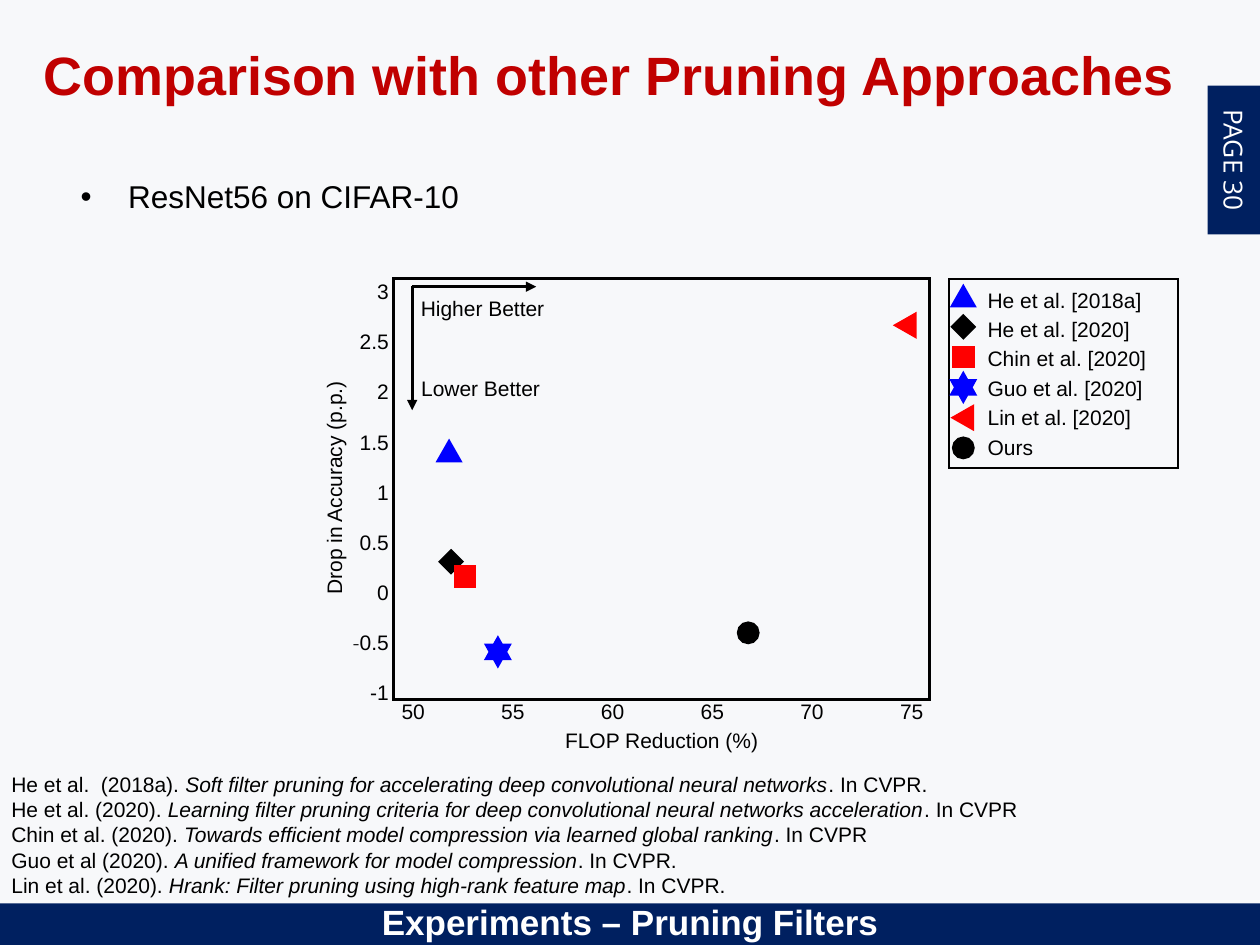
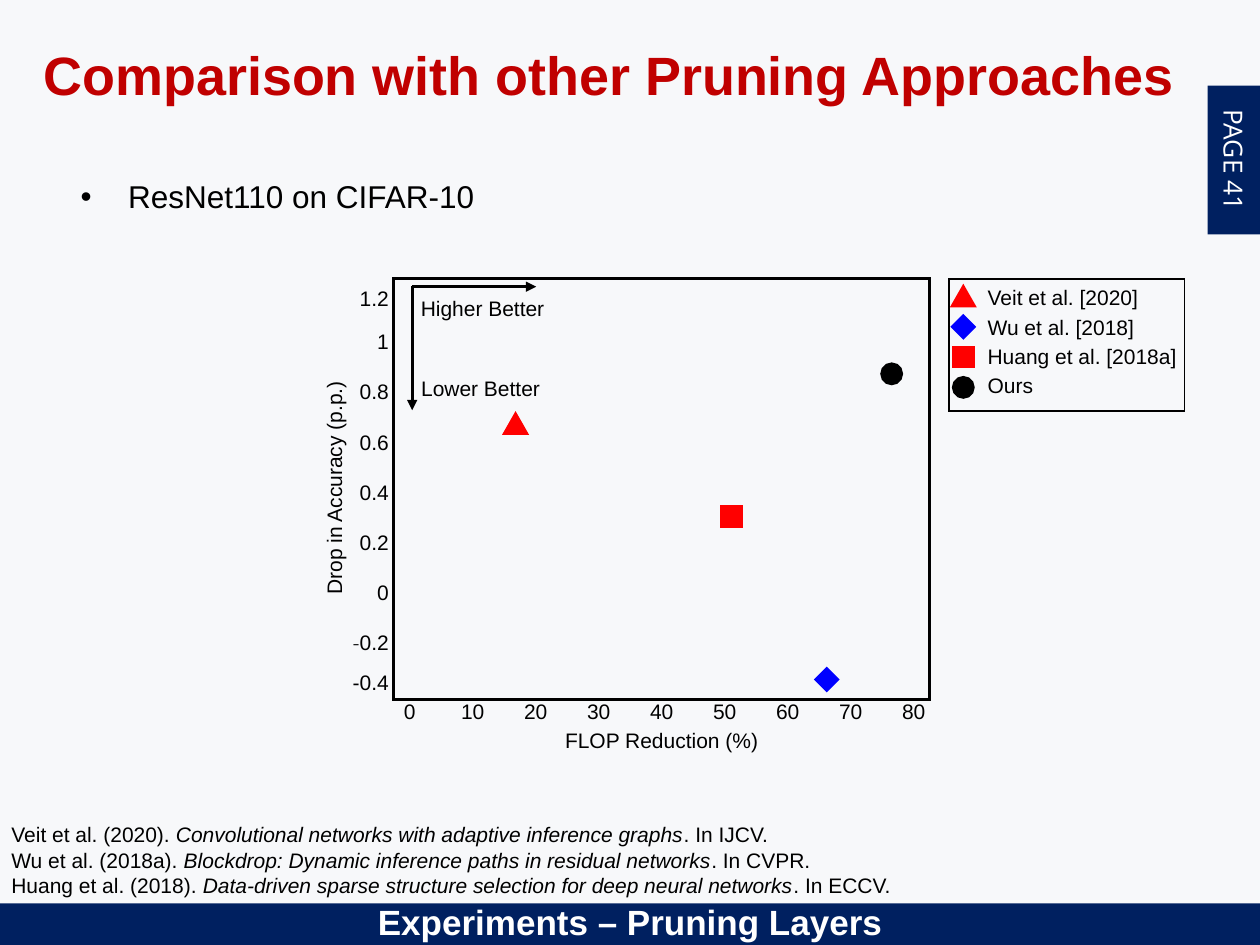
from lxml import etree
from pptx import Presentation
from pptx import util as u
from pptx.dml.color import RGBColor
from pptx.enum import shapes, text
from pptx.oxml.ns import qn

Cm, Pt = u.Cm, u.Pt
SHAPE, ALIGN, ANCHOR = shapes.MSO_SHAPE, text.PP_ALIGN, text.MSO_ANCHOR

PAPER, NAVY, CRIMSON = "F7F8FA", "002060", "C00000"
BLACK, WHITE, BLUE, RED = "000000", "FFFFFF", "0000FF", "FF0000"

# Plot geometry in cm
PLOT = (7.93, 5.62, 10.81, 8.48)
TOP_TICK_Y, TICK_GAP_Y = 5.87, 1.01
TICK_W, TICK_H = 1.27, 0.53
LEGEND_X, LEGEND_Y = 19.13, 5.62

# Marker kind: preset, width, height, rotation
MARKERS = {
    "up": (SHAPE.ISOSCELES_TRIANGLE, 0.41, 0.36, 0),
    "left": (SHAPE.ISOSCELES_TRIANGLE, 0.41, 0.36, 270),
    "diamond": (SHAPE.DIAMOND, 0.41, 0.41, 0),
    "square": (SHAPE.RECTANGLE, 0.38, 0.38, 0),
    "star": (SHAPE.STAR_6_POINT, 0.43, 0.51, 0),
    "dot": (SHAPE.OVAL, 0.38, 0.38, 0),
}

# Series: name, marker, colour, FLOP reduction, drop in accuracy
FILTERS = dict(
    page="PAGE 30", topic="ResNet56 on CIFAR-10",
    footer="Experiments – Pruning Filters",
    x_ticks=[50, 55, 60, 65, 70, 75], first_tick_x=8.33, tick_gap_x=2.01,
    y_ticks=[3, 2.5, 2, 1.5, 1, 0.5, 0, -0.5, -1], nudges={},
    legend_frame=(4.62, 3.81), legend_text=(5.66, 3.91, 3.71),
    series=[
        ("He et al. [2018a]", "up", BLUE, 51.8, 1.4),
        ("He et al. [2020]", "diamond", BLACK, 51.9, 0.3),
        ("Chin et al. [2020]", "square", RED, 52.6, 0.15),
        ("Guo et al. [2020]", "star", BLUE, 54.25, -0.6),
        ("Lin et al. [2020]", "left", RED, 74.7, 2.66),
        ("Ours", "dot", BLACK, 66.8, -0.41),
    ],
    references=[
        ("He et al.  (2018a). ", "Soft filter pruning for accelerating deep "
         "convolutional neural networks", ". In CVPR."),
        ("He et al. (2020). ", "Learning filter pruning criteria for deep "
         "convolutional neural networks acceleration", ". In CVPR"),
        ("Chin et al. (2020). ", "Towards efficient model compression via "
         "learned global ranking", ". In CVPR"),
        ("Guo et al (2020). ", "A unified framework for model compression",
         ". In CVPR."),
        ("Lin et al. (2020). ", "Hrank: Filter pruning using high-rank "
         "feature map", ". In CVPR."),
    ])

LAYERS = dict(
    page="PAGE 41", topic="ResNet110 on CIFAR-10",
    footer="Experiments – Pruning Layers",
    x_ticks=[0, 10, 20, 30, 40, 50, 60, 70, 80],
    first_tick_x=8.26, tick_gap_x=1.27,
    y_ticks=[1.2, 1, 0.8, 0.6, 0.4, 0.2, 0, -0.2, -0.4],
    nudges={1.2: 0.13, -0.4: -0.2},
    legend_frame=(4.75, 2.67), legend_text=(5.61, 4.6, 2.84),
    series=[
        ("Veit et al. [2020]", "up", RED, 16.8, 0.67),
        ("Wu et al. [2018]", "diamond", BLUE, 66.2, -0.35),
        ("Huang et al. [2018a]", "square", RED, 51.1, 0.3),
        ("Ours", "dot", BLACK, 76.5, 0.87),
    ],
    references=[
        ("Veit et al. (2020). ", "Convolutional networks with adaptive "
         "inference graphs", ". In IJCV."),
        ("Wu et al. (2018a). ", "Blockdrop: Dynamic inference paths in "
         "residual networks", ". In CVPR."),
        ("Huang et al. (2018). ", "Data-driven sparse structure selection "
         "for deep neural networks", ". In ECCV."),
    ])


def rgb(value):
    return RGBColor.from_string(value)


def place(sp, left, top, width, height):
    sp.left, sp.top, sp.width, sp.height = map(Cm, (left, top, width, height))


def write(tf, paragraphs, size=12, color=BLACK, bold=False, font="Arial",
          align=ALIGN.LEFT, gap=0):
    """Fill a frame; in a tuple of runs every second run is italic."""
    for i, runs in enumerate(paragraphs):
        p = tf.paragraphs[0] if i == 0 else tf.add_paragraph()
        p.alignment = align
        p.space_before = Pt(gap if i else 0)
        for j, part in enumerate([runs] if isinstance(runs, str) else runs):
            r = p.add_run()
            r.text = part
            r.font.name, r.font.size = font, Pt(size)
            r.font.bold, r.font.italic = bold, j % 2 == 1
            r.font.color.rgb = rgb(color)


def add_block(slide, preset, at, fill=None, line=None, width=1.5):
    sp = slide.shapes.add_shape(preset, *map(Cm, at))
    sp.shadow.inherit = False
    if fill:
        sp.fill.solid()
        sp.fill.fore_color.rgb = rgb(fill)
    else:
        sp.fill.background()
    if line:
        sp.line.color.rgb = rgb(line)
        sp.line.width = Pt(width)
        ln = sp.element.spPr.find(qn("a:ln"))
        etree.SubElement(ln, qn("a:miter"), lim="800000")
    else:
        sp.line.fill.background()
    return sp


def add_text(slide, paragraphs, at, fill=PAPER, rotation=0,
             anchor=ANCHOR.TOP, side=0.25, top=0.13, **fmt):
    if fill:
        sp = add_block(slide, SHAPE.RECTANGLE, at, fill)
    else:
        sp = slide.shapes.add_textbox(*map(Cm, at))
    sp.rotation = rotation
    tf = sp.text_frame
    tf.word_wrap, tf.vertical_anchor = True, anchor
    tf.margin_left = tf.margin_right = Cm(side)
    tf.margin_top = Cm(top)
    write(tf, paragraphs, **fmt)


def add_marker(slide, kind, color, x, y):
    preset, w, h, rotation = MARKERS[kind]
    sp = add_block(slide, preset, (x - w / 2, y - h / 2, w, h),
                   color, color, 2.25)
    sp.rotation = rotation


def add_arrow(slide, x1, y1, x2, y2):
    cx = slide.shapes.add_connector(shapes.MSO_CONNECTOR.STRAIGHT,
                                    *map(Cm, (x1, y1, x2, y2)))
    cx.line.color.rgb = rgb(BLACK)
    cx.line.width = Pt(1.5)
    sp_pr = cx.element.spPr
    etree.SubElement(sp_pr.find(qn("a:ln")), qn("a:tailEnd"), type="triangle")
    etree.SubElement(sp_pr, qn("a:effectLst"))


def set_bullet(p, char=None, indent=0):
    p_pr = p._p.get_or_add_pPr()
    p_pr.set("marL", str(Cm(indent)))
    p_pr.set("indent", str(-Cm(indent)))
    if char:
        etree.SubElement(p_pr, qn("a:buChar"), char=char)
    else:
        etree.SubElement(p_pr, qn("a:buNone"))


def fill_placeholders(slide, topic, footer):
    title, body, foot = slide.placeholders
    place(title, 0.43, 0.3, 23.7, 2.39)
    place(body, 1.37, 3.45, 13.5, 1.9)
    place(foot, 4.92, 18.03, 15.57, 0.91)
    for sp in (title, body, foot):
        sp.text_frame.auto_size = text.MSO_AUTO_SIZE.NONE
    write(title.text_frame, ["Comparison with other Pruning Approaches"],
          size=30.8, color=CRIMSON, bold=True, align=ALIGN.CENTER)
    set_bullet(body.text_frame.paragraphs[0], "•", 0.96)
    write(body.text_frame, [topic], size=18)
    set_bullet(foot.text_frame.paragraphs[0])
    write(foot.text_frame, [footer], size=20, color=WHITE, bold=True,
          align=ALIGN.CENTER)


def add_axes(slide, c):
    for i, value in enumerate(c["x_ticks"]):
        x = c["first_tick_x"] + i * c["tick_gap_x"]
        add_text(slide, [f"{value:g}"],
                 (x - TICK_W / 2, 13.95, TICK_W, TICK_H), align=ALIGN.CENTER)
    for i, value in enumerate(c["y_ticks"]):
        y = TOP_TICK_Y + i * TICK_GAP_Y + c["nudges"].get(value, 0)
        add_text(slide, [f"{value:g}"], (6.82, y - 0.38, TICK_W, TICK_H),
                 align=ALIGN.RIGHT)
    add_block(slide, SHAPE.RECTANGLE, PLOT, line=BLACK)
    add_text(slide, ["FLOP Reduction (%)"], (10.19, 14.54, 6.3, 0.91),
             align=ALIGN.CENTER)
    add_text(slide, ["Drop in Accuracy (p.p.)"], (3.65, 9.38, 6.3, 0.91),
             rotation=270, align=ALIGN.CENTER)


def add_direction_hints(slide):
    for label, left, top in (("Lower Better", 8.18, 7.44),
                             ("Higher Better", 8.22, 5.83)):
        add_text(slide, [label], (left, top, 3.02, 0.91), side=0,
                 align=ALIGN.CENTER)
    add_arrow(slide, 8.31, 5.78, 10.81, 5.78)
    add_arrow(slide, 8.31, 5.77, 8.31, 8.27)


def add_points(slide, c):
    xs, ys = c["x_ticks"], c["y_ticks"]
    for _, kind, color, flops, drop in c["series"]:
        x = c["first_tick_x"] + (flops - xs[0]) / (xs[1] - xs[0]) * c["tick_gap_x"]
        y = TOP_TICK_Y + (drop - ys[0]) / (ys[1] - ys[0]) * TICK_GAP_Y
        add_marker(slide, kind, color, x, y)


def add_legend(slide, series, frame_size, text_box):
    top, width, height = text_box
    add_text(slide, [s[0] for s in series],
             (LEGEND_X + 0.53, top, width, height), gap=2.4)
    add_block(slide, SHAPE.RECTANGLE, (LEGEND_X, LEGEND_Y, *frame_size),
              line=BLACK, width=1)
    for i, (_, kind, color, *_) in enumerate(series):
        add_marker(slide, kind, color, LEGEND_X + 0.29,
                   LEGEND_Y + 0.36 + i * 0.61)


def add_comparison(prs, layout, c):
    slide = prs.slides.add_slide(layout)
    fill_placeholders(slide, c["topic"], c["footer"])
    # Page tab on the right edge
    add_text(slide, [c["page"]], (23.38, 2.69, 3, 1.07), fill=NAVY,
             rotation=90, anchor=ANCHOR.MIDDLE, size=15, color=WHITE,
             font="Open Sans", align=ALIGN.CENTER)
    add_text(slide, c["references"], (-0.02, 15.58, 23.34, 2.64), fill=None,
             anchor=ANCHOR.BOTTOM, top=0)
    add_axes(slide, c)
    add_direction_hints(slide)
    add_points(slide, c)
    add_legend(slide, c["series"], c["legend_frame"], c["legend_text"])
    return slide


def main():
    prs = Presentation()
    prs.slide_width, prs.slide_height = Cm(25.4), Cm(19.05)
    background = prs.slide_master.background.fill
    background.solid()
    background.fore_color.rgb = rgb(PAPER)
    layout = prs.slide_layouts.get_by_name("Two Content")

    slides = [add_comparison(prs, layout, c) for c in (FILTERS, LAYERS)]

    # The footer band belongs to the layout, behind the footer text
    band = add_block(slides[0], SHAPE.RECTANGLE, (0, 18.21, 25.4, 0.84), NAVY)
    layout.shapes.element.append(band.element)
    prs.save("out.pptx")


if __name__ == "__main__":
    main()
